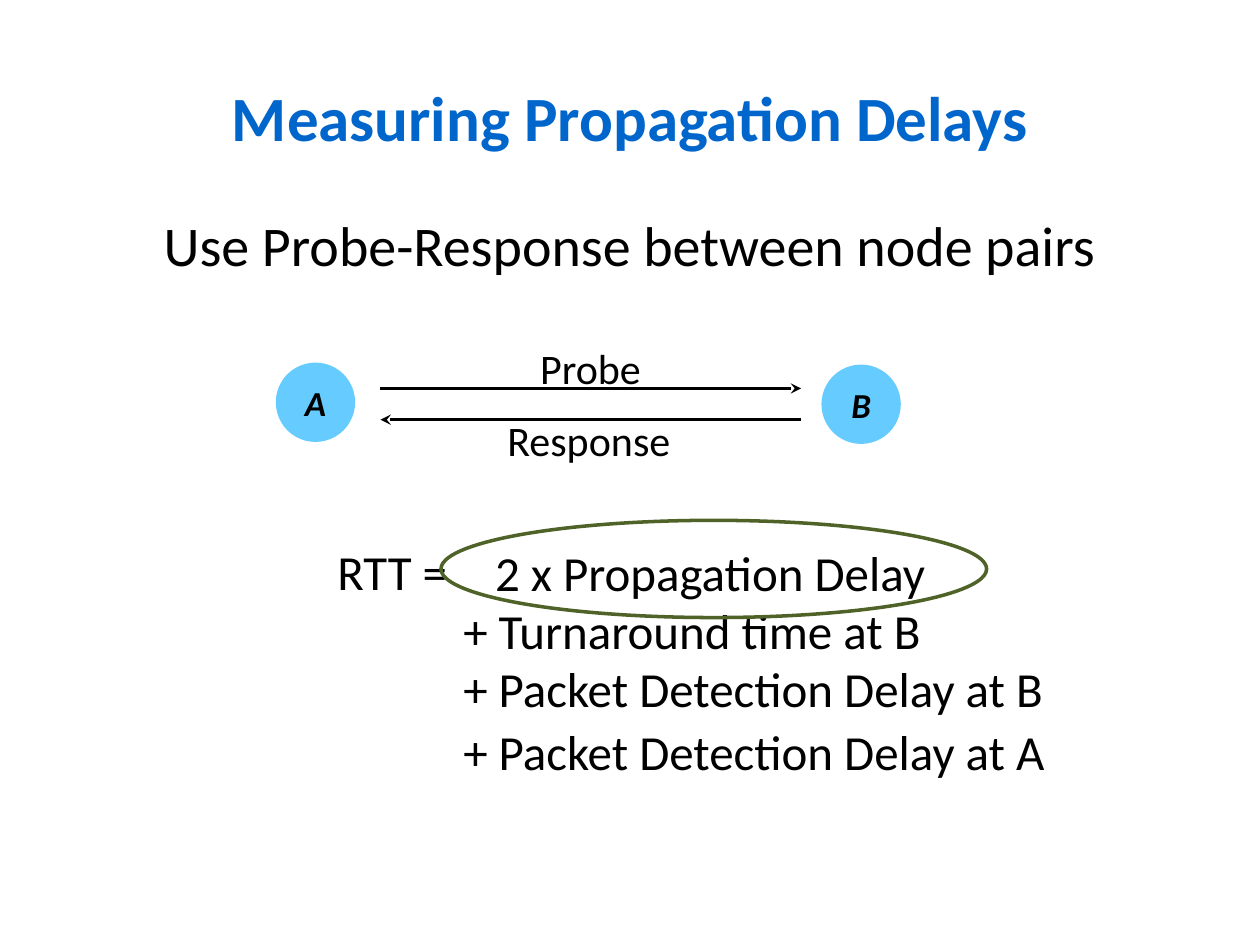
from dataclasses import dataclass

from lxml import etree
from pptx import Presentation
from pptx.dml.color import RGBColor
from pptx.enum.shapes import MSO_CONNECTOR, MSO_SHAPE
from pptx.enum.text import MSO_ANCHOR, MSO_AUTO_SIZE, PP_ALIGN
from pptx.oxml.ns import qn
from pptx.util import Cm, Pt

STRAIGHT = MSO_CONNECTOR.STRAIGHT
OVAL = MSO_SHAPE.OVAL
MIDDLE = MSO_ANCHOR.MIDDLE
TOP = MSO_ANCHOR.TOP
FIT_SHAPE = MSO_AUTO_SIZE.SHAPE_TO_FIT_TEXT
NO_FIT = MSO_AUTO_SIZE.NONE
CENTER = PP_ALIGN.CENTER
LEFT = PP_ALIGN.LEFT

FONT = "Calibri"
BLACK = "000000"
TITLE_BLUE = "0066CC"
NODE_BLUE = "66CCFF"
OLIVE = "4F6228"
SLIDE_WIDTH = 25.4
NODE_SIZE = 1.6
MESSAGE_LEFT, MESSAGE_RIGHT = 7.67, 16.15


@dataclass
class Label:
    text: str
    left: float
    top: float
    width: float
    height: float
    size: int
    align: PP_ALIGN = LEFT
    wrap: bool = False


@dataclass
class Node:
    name: str
    left: float
    top: float


@dataclass
class Message:
    label: Label
    y: float
    arrow_end: str


def color(value: str) -> RGBColor:
    return RGBColor.from_string(value)


def write(frame, text: str, size: int, align: PP_ALIGN, ink: str = BLACK,
          bold: bool = False, italic: bool = False) -> None:
    paragraph = frame.paragraphs[0]
    paragraph.alignment = align
    run = paragraph.add_run()
    run.text = text
    run.font.name = FONT
    run.font.size = Pt(size)
    run.font.bold = bold
    run.font.italic = italic
    run.font.color.rgb = color(ink)


def draw_title(slide, text: str) -> None:
    title = slide.shapes.title
    title.left, title.top = Cm(0), Cm(0.76)
    title.width, title.height = Cm(SLIDE_WIDTH), Cm(3.18)
    title.text_frame.vertical_anchor = MIDDLE
    title.text_frame.auto_size = NO_FIT
    write(title.text_frame, text, 36, CENTER, TITLE_BLUE, bold=True)


def draw_label(slide, label: Label) -> None:
    box = slide.shapes.add_textbox(
        Cm(label.left), Cm(label.top), Cm(label.width), Cm(label.height))
    frame = box.text_frame
    frame.word_wrap = label.wrap
    frame.auto_size = FIT_SHAPE
    frame.vertical_anchor = TOP
    write(frame, label.text, label.size, label.align)


def draw_message(slide, message: Message) -> None:
    arrow = slide.shapes.add_connector(
        STRAIGHT, Cm(MESSAGE_LEFT), Cm(message.y), Cm(MESSAGE_RIGHT), Cm(message.y))
    arrow.line.color.rgb = color(BLACK)
    arrow.line.width = Pt(2)
    tip = etree.SubElement(arrow.line._get_or_add_ln(), qn(f"a:{message.arrow_end}"))
    tip.set("type", "stealth")
    etree.SubElement(arrow._element.spPr, qn("a:effectLst"))
    draw_label(slide, message.label)


def draw_highlight(slide) -> None:
    highlight = slide.shapes.add_shape(OVAL, Cm(8.89), Cm(10.49), Cm(11), Cm(1.96))
    highlight.shadow.inherit = False
    highlight.fill.background()
    highlight.line.color.rgb = color(OLIVE)
    highlight.line.width = Pt(2)


def draw_node(slide, node: Node) -> None:
    circle = slide.shapes.add_shape(
        OVAL, Cm(node.left), Cm(node.top), Cm(NODE_SIZE), Cm(NODE_SIZE))
    circle.shadow.inherit = False
    circle.fill.solid()
    circle.fill.fore_color.rgb = color(NODE_BLUE)
    circle.line.fill.background()
    circle.text_frame.word_wrap = False
    circle.text_frame.vertical_anchor = MIDDLE
    write(circle.text_frame, node.name, 20, CENTER, bold=True, italic=True)


APPROACH = Label("Use Probe-Response between node pairs",
                 0, 4.11, SLIDE_WIDTH, 3, 32, CENTER, True)
MESSAGES = [
    Message(Label("Probe", 10.64, 6.78, 2.57, 1.27, 24), 7.83, "tailEnd"),
    Message(Label("Response", 9.98, 8.23, 3.84, 1.27, 24), 8.46, "headEnd"),
]
RTT_TERMS = [
    Label("RTT =", 6.55, 10.8, 2.97, 1.45, 28),
    Label("2 x Propagation Delay", 9.73, 10.82, 9.27, 1.45, 28),
    Label("+ Turnaround time at B", 9.09, 11.99, 9.86, 1.45, 28),
    Label("+ Packet Detection Delay at B", 9.09, 13.16, 12.32, 1.45, 28),
    Label("+ Packet Detection Delay at A", 9.09, 14.43, 12.37, 1.45, 28),
]
NODES = [Node("A", 5.56, 7.31), Node("B", 16.56, 7.35)]


def main() -> None:
    deck = Presentation()
    deck.slide_width, deck.slide_height = Cm(SLIDE_WIDTH), Cm(19.05)
    slide = deck.slides.add_slide(deck.slide_layouts.get_by_name("Title Only"))
    draw_title(slide, "Measuring Propagation Delays")
    draw_label(slide, APPROACH)
    for message in MESSAGES:
        draw_message(slide, message)
    for term in RTT_TERMS:
        draw_label(slide, term)
    draw_highlight(slide)
    for node in NODES:
        draw_node(slide, node)
    deck.save("out.pptx")


if __name__ == "__main__":
    main()
